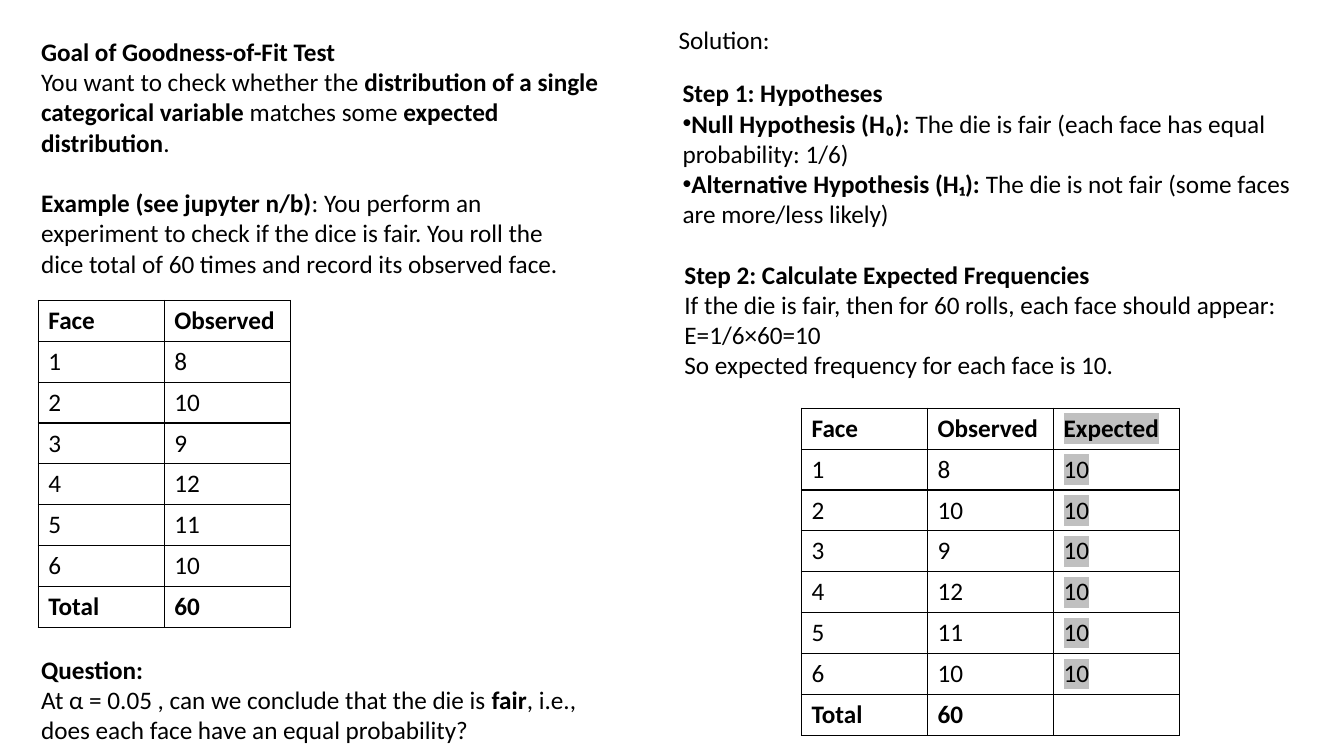
"""Build the goodness-of-fit slide with the die example."""
from lxml.etree import SubElement
from pptx import Presentation
from pptx.dml.color import RGBColor
from pptx.enum.text import MSO_ANCHOR, MSO_AUTO_SIZE, PP_ALIGN
from pptx.oxml import parse_xml
from pptx.oxml.ns import nsdecls, qn
from pptx.util import Pt

PX = 9144
COLORS = {"text": "000000", "border": "000000", "highlight": "C0C0C0"}
FONT = {"name": "Calibri", "size": Pt(18)}
FRAME = {
    "auto_size": MSO_AUTO_SIZE.NONE,
    "vertical_anchor": MSO_ANCHOR.TOP,
    "margin_left": 10 * PX,
    "margin_right": 10 * PX,
    "margin_top": 5 * PX,
    "margin_bottom": 5 * PX,
}
PARAGRAPH = {"alignment": PP_ALIGN.LEFT, "space_before": Pt(0)}

SOLUTION = ((663, 19, 112, 40), ["Solution:"])
HYPOTHESES = ((667, 72, 651, 162), [
    "**Step 1: Hypotheses**",
    "•**Null Hypothesis (H₀):** The die is fair (each face has equal probability: 1/6)",
    "•**Alternative Hypothesis (H₁):** The die is not fair (some faces are more/less likely)",
])
PASSAGES = [
    ((31, 31, 594, 131), [
        "**Goal of Goodness-of-Fit Test**",
        "You want to check whether the **distribution of a single categorical variable** "
        "matches some **expected distribution**.",
    ]),
    ((31, 181, 558, 101), [
        "**Example (see jupyter n/b)**: You perform an experiment to check if the dice is fair. "
        "You roll the dice total of 60 times and record its observed face.",
    ]),
    ((31, 644, 594, 101), [
        "**Question:**",
        "At α = 0.05 , can we conclude that the die is **fair**, i.e., "
        "does each face have an equal probability?",
    ]),
    ((669, 252, 667, 131), [
        "**Step 2: Calculate Expected Frequencies**",
        "If the die is fair, then for 60 rolls, each face should appear:",
        "E=1/6×60=10",
        "So expected frequency for each face is 10.",
    ]),
]
OBSERVED = [8, 10, 9, 12, 11, 10]
ROLLS = sum(OBSERVED)
EXPECTED = ROLLS // len(OBSERVED)
FREQUENCIES = [
    ("**Face**", "**Observed**", "**Expected**"),
    *((str(face), str(count), str(EXPECTED)) for face, count in enumerate(OBSERVED, 1)),
    ("**Total**", f"**{ROLLS}**", ""),
]
TABLES = [((38, 298), 2), ((795, 405), 3)]
COLUMN_WIDTH, ROW_HEIGHT = 125, 40
EXPECTED_COLUMN = 2


def apply(target, values):
    for attribute, value in values.items():
        setattr(target, attribute, value)


def scaled(box):
    return [length * PX for length in box]


def write_runs(paragraph, marked, highlight=None):
    for index, words in enumerate(marked.split("**")):
        if not words:
            continue
        run = paragraph.add_run()
        run.text = words
        apply(run.font, {**FONT, "bold": index % 2 == 1})
        run.font.color.rgb = RGBColor.from_string(COLORS["text"])
        if highlight:
            fill = run.font._element.find(qn("a:solidFill"))
            fill.addnext(parse_xml(
                f'<a:highlight {nsdecls("a")}><a:srgbClr val="{highlight}"/></a:highlight>'))


def write_passage(shape, box, lines, wrap=True):
    apply(shape, dict(zip(("left", "top", "width", "height"), scaled(box))))
    frame = shape.text_frame
    apply(frame, {**FRAME, "word_wrap": wrap})
    for index, line in enumerate(lines):
        paragraph = frame.add_paragraph() if index else frame.paragraphs[0]
        apply(paragraph, PARAGRAPH)
        properties = paragraph._p.get_or_add_pPr()
        properties.set("marL", "0")
        properties.set("indent", "0")
        if line.startswith("•"):
            SubElement(properties, qn("a:buFont"), typeface="Arial")
            SubElement(properties, qn("a:buChar"), char="•")
        else:
            SubElement(properties, qn("a:buNone"))
        write_runs(paragraph, line.removeprefix("•"))


def draw_borders(cell):
    properties = cell._tc.get_or_add_tcPr()
    for side in ("lnL", "lnR", "lnT", "lnB"):
        properties.append(parse_xml(
            f'<a:{side} {nsdecls("a")} w="{Pt(1)}"><a:solidFill>'
            f'<a:srgbClr val="{COLORS["border"]}"/></a:solidFill></a:{side}>'))


def add_frequencies(slide, corner, columns):
    size = (columns * COLUMN_WIDTH, len(FREQUENCIES) * ROW_HEIGHT)
    table = slide.shapes.add_table(len(FREQUENCIES), columns, *scaled(corner + size)).table
    apply(table, {"first_row": False, "horz_banding": False})
    for row, entries in enumerate(FREQUENCIES):
        for column, entry in enumerate(entries[:columns]):
            cell = table.cell(row, column)
            cell.vertical_anchor = MSO_ANCHOR.MIDDLE
            draw_borders(cell)
            cell.fill.background()
            highlight = COLORS["highlight"] if column == EXPECTED_COLUMN else None
            write_runs(cell.text_frame.paragraphs[0], entry, highlight)


def main():
    deck = Presentation()
    apply(deck, {"slide_width": 1333 * PX, "slide_height": 750 * PX})
    slide = deck.slides.add_slide(deck.slide_layouts[1])
    write_passage(slide.shapes.title, *SOLUTION, wrap=False)
    write_passage(slide.placeholders[1], *HYPOTHESES)
    for box, lines in PASSAGES:
        write_passage(slide.shapes.add_textbox(*scaled(box)), box, lines)
    for corner, columns in TABLES:
        add_frequencies(slide, corner, columns)
    deck.save("out.pptx")


if __name__ == "__main__":
    main()
